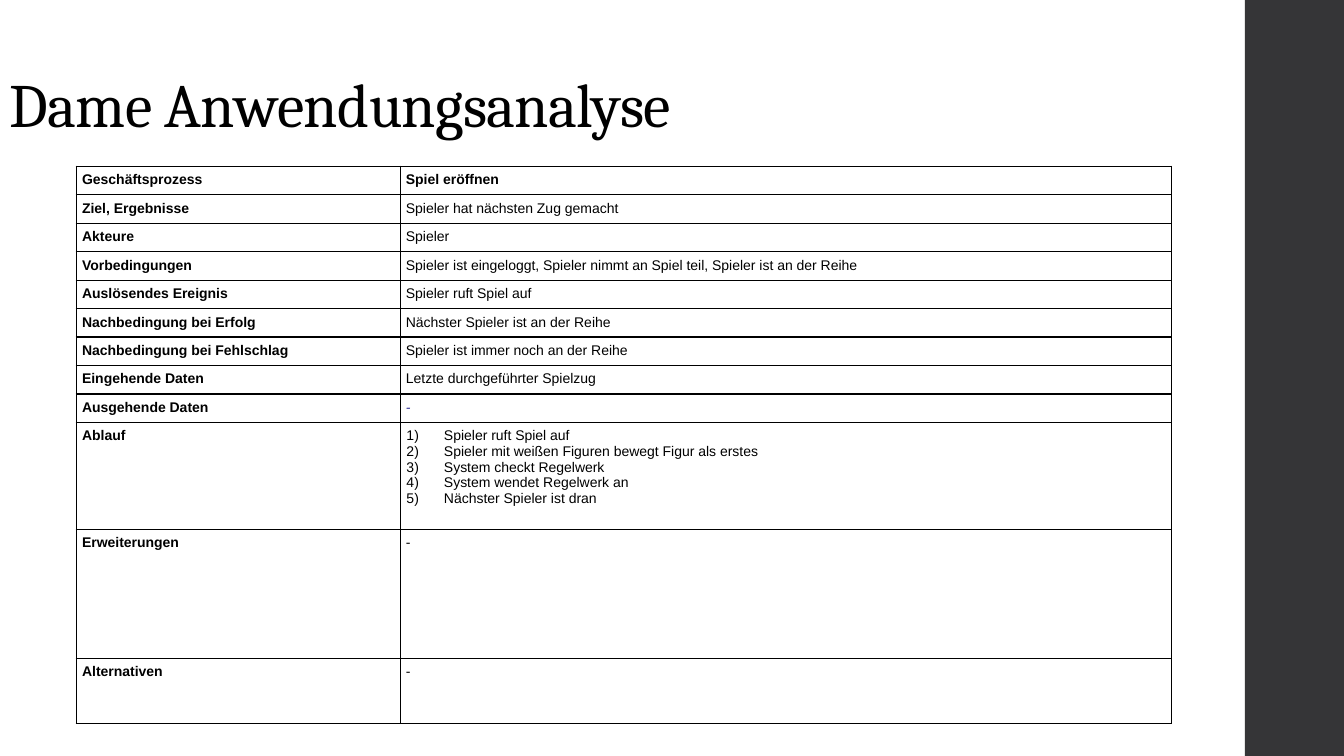
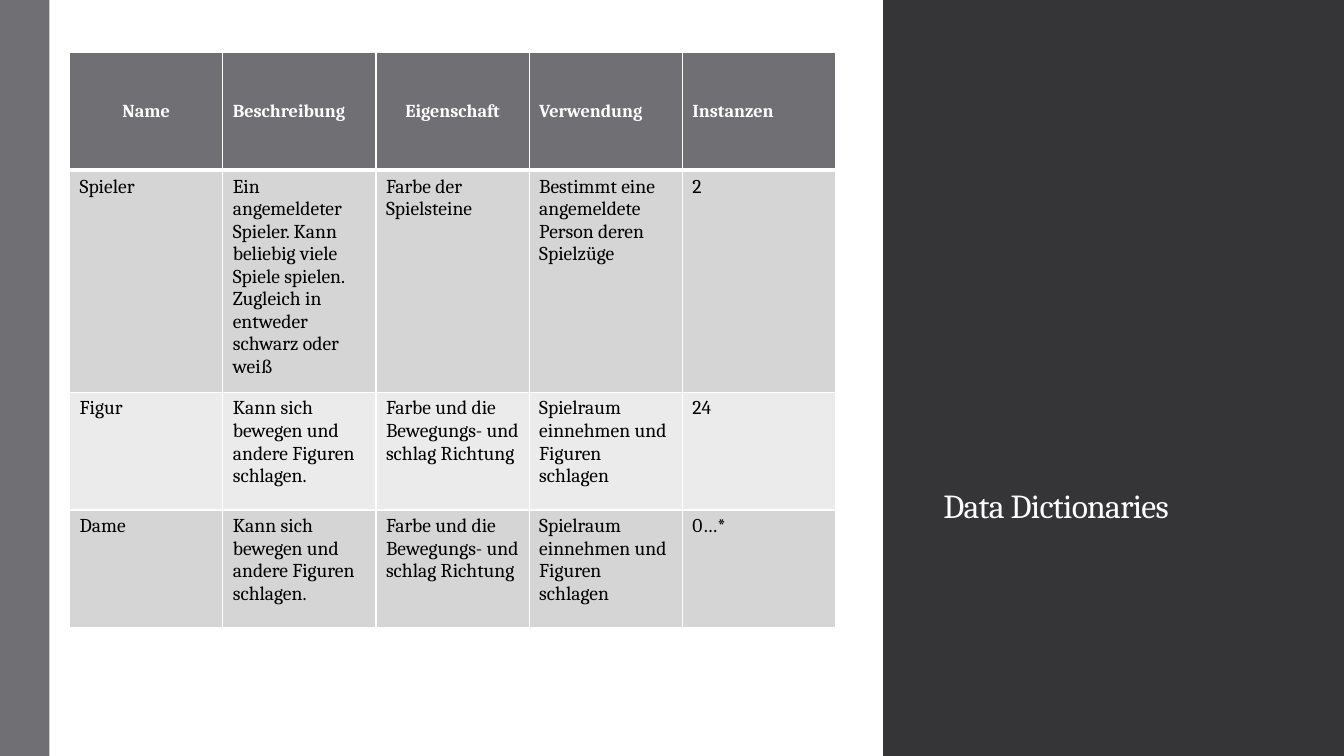
from dataclasses import dataclass

from lxml import etree
from pptx import Presentation
from pptx.dml.color import RGBColor
from pptx.enum.shapes import MSO_SHAPE
from pptx.enum.text import MSO_ANCHOR, PP_ALIGN
from pptx.oxml.ns import qn
from pptx.slide import Slide
from pptx.table import Table, _Cell
from pptx.text.text import _Paragraph
from pptx.util import Pt

RECTANGLE = MSO_SHAPE.RECTANGLE
TOP, MIDDLE, BOTTOM = MSO_ANCHOR.TOP, MSO_ANCHOR.MIDDLE, MSO_ANCHOR.BOTTOM
LEFT, CENTER = PP_ALIGN.LEFT, PP_ALIGN.CENTER

SLIDE_W, SLIDE_H = 960, 540
EDGE_LEFT = 889.2
BLACK, WHITE = "000000", "FFFFFF"
CHARCOAL, GRAY = "353537", "6F6F74"
ROW_DARK, ROW_LIGHT = "D5D5D6", "EBEBEB"
INDIGO = "333399"
SERIF, SANS = "Cambria", "Arial"


@dataclass(frozen=True)
class Band:
    """A full-height vertical band."""
    left: float
    width: float
    color: str


@dataclass(frozen=True)
class Title:
    """A slide title set at the bottom of its box."""
    text: str
    left: float
    top: float
    width: float
    height: float
    size: float
    color: str
    line_spacing: float
    bottom_inset: float = 3.6


@dataclass(frozen=True)
class TextStyle:
    """Character formatting of a run."""
    font: str
    size: float
    color: str = BLACK
    bold: bool = False
    italic: bool = False


@dataclass(frozen=True)
class CellStyle:
    """Insets, fill, border widths and alignment of a table cell."""
    inset_x: float
    inset_y: float
    border_color: str
    border: float
    top_border: float
    bottom_border: float
    fill: str | None = None
    anchor: MSO_ANCHOR = TOP


EDGE_BAND = Band(EDGE_LEFT, SLIDE_W - EDGE_LEFT, CHARCOAL)
DICTIONARY_BANDS = (
    Band(0, 36, GRAY),
    Band(36, EDGE_LEFT - 36, CHARCOAL),
    Band(35.3, 595.4, WHITE),
)

ANALYSIS_TITLE = Title("Dame Anwendungsanalyse", 0, 0, 763.2, 104.4,
                       44, BLACK, 0.9)
DICTIONARY_TITLE = Title("Data Dictionaries", 666.7, 88.6, 220.3, 318.2,
                         24, WHITE, 0.85, bottom_inset=31.6)

LABEL = TextStyle(SANS, 10, bold=True)
DETAIL = TextStyle(SANS, 10)
NO_OUTPUT = TextStyle(SANS, 10, INDIGO, italic=True)
HEADING = TextStyle(SERIF, 13, WHITE, bold=True)
ENTRY = TextStyle(SERIF, 14)

ANALYSIS_CELL = CellStyle(4.15, 4.15, BLACK, 0.96, 0.96, 0.96)
HEADING_CELL = CellStyle(7.2, 3.6, WHITE, 1, 1, 3, GRAY, MIDDLE)

STEPS = (
    "Spieler ruft Spiel auf",
    "Spieler mit weißen Figuren bewegt Figur als erstes",
    "System checkt Regelwerk",
    "System wendet Regelwerk an",
    "Nächster Spieler ist dran",
)
SHORT_ROW = 19.8
USE_CASE = (
    ("Geschäftsprozess", ("Spiel eröffnen",), LABEL, SHORT_ROW),
    ("Ziel, Ergebnisse", ("Spieler hat nächsten Zug gemacht",), DETAIL, SHORT_ROW),
    ("Akteure", ("Spieler",), DETAIL, SHORT_ROW),
    ("Vorbedingungen",
     ("Spieler ist eingeloggt, Spieler nimmt an Spiel teil, "
      "Spieler ist an der Reihe",), DETAIL, SHORT_ROW),
    ("Auslösendes Ereignis", ("Spieler ruft Spiel auf",), DETAIL, SHORT_ROW),
    ("Nachbedingung bei Erfolg", ("Nächster Spieler ist an der Reihe",),
     DETAIL, SHORT_ROW),
    ("Nachbedingung bei Fehlschlag", ("Spieler ist immer noch an der Reihe",),
     DETAIL, SHORT_ROW),
    ("Eingehende Daten", ("Letzte durchgeführter Spielzug",), DETAIL, SHORT_ROW),
    ("Ausgehende Daten", ("-",), NO_OUTPUT, SHORT_ROW),
    ("Ablauf", STEPS, DETAIL, 76.4),
    ("Erweiterungen", ("-",), DETAIL, 92.1),
    ("Alternativen", ("-",), DETAIL, 46.4),
)

HEADINGS = (("Name", CENTER), ("Beschreibung", LEFT), ("Eigenschaft", CENTER),
            ("Verwendung", LEFT), ("Instanzen", LEFT))
PIECE_TRAITS = (
    "Kann sich bewegen und andere Figuren schlagen.",
    "Farbe und die Bewegungs- und schlag Richtung",
    "Spielraum einnehmen und Figuren schlagen",
)
ENTRIES = (
    ("Spieler",
     "Ein angemeldeter Spieler. Kann beliebig viele Spiele spielen. "
     "Zugleich in entweder schwarz oder weiß",
     "Farbe der Spielsteine",
     "Bestimmt eine angemeldete Person deren Spielzüge",
     "2"),
    ("Figur", *PIECE_TRAITS, "24"),
    ("Dame", *PIECE_TRAITS, "0…*"),
)


def rgb(color: str) -> RGBColor:
    """Turn a hex string into a colour."""
    return RGBColor.from_string(color)


def add_text(paragraph: _Paragraph, text: str, style: TextStyle,
             tracking: float = 0) -> None:
    """Add one formatted run; tracking is in points."""
    run = paragraph.add_run()
    run.text = text
    run.font.name = style.font
    run.font.size = Pt(style.size)
    run.font.bold = style.bold
    run.font.italic = style.italic
    run.font.color.rgb = rgb(style.color)
    if tracking:
        run._r.get_or_add_rPr().set("spc", str(round(tracking * 100)))


def draw_band(slide: Slide, band: Band) -> None:
    """Draw a band over the full slide height."""
    stripe = slide.shapes.add_shape(RECTANGLE, Pt(band.left), 0,
                                    Pt(band.width), Pt(SLIDE_H))
    stripe.shadow.inherit = False
    stripe.fill.solid()
    stripe.fill.fore_color.rgb = rgb(band.color)
    stripe.line.fill.background()


def draw_title(slide: Slide, title: Title) -> None:
    """Draw a title in the shared serif style."""
    frame = slide.shapes.add_textbox(Pt(title.left), Pt(title.top),
                                     Pt(title.width), Pt(title.height)).text_frame
    frame.word_wrap = True
    frame.vertical_anchor = BOTTOM
    frame.margin_bottom = Pt(title.bottom_inset)
    paragraph = frame.paragraphs[0]
    paragraph.line_spacing = title.line_spacing
    add_text(paragraph, title.text,
             TextStyle(SERIF, title.size, title.color), tracking=-0.5)


def draw_table(slide: Slide, left: float, top: float,
               widths: list[float], heights: list[float]) -> Table:
    """Add an unbanded table with the given column and row sizes."""
    table = slide.shapes.add_table(len(heights), len(widths), Pt(left), Pt(top),
                                   Pt(sum(widths)), Pt(sum(heights))).table
    table.first_row = False
    table.horz_banding = False
    for column, width in zip(table.columns, widths):
        column.width = Pt(width)
    for row, height in zip(table.rows, heights):
        row.height = Pt(height)
    return table


def style_cell(cell: _Cell, style: CellStyle) -> None:
    """Apply borders, insets, anchor and fill to a cell."""
    properties = cell._tc.get_or_add_tcPr()
    borders = (("L", style.border), ("R", style.border),
               ("T", style.top_border), ("B", style.bottom_border))
    for side, width in borders:
        line = etree.SubElement(properties, qn(f"a:ln{side}"), w=str(Pt(width)))
        fill = etree.SubElement(line, qn("a:solidFill"))
        etree.SubElement(fill, qn("a:srgbClr"), val=style.border_color)
    cell.margin_left = cell.margin_right = Pt(style.inset_x)
    cell.margin_top = cell.margin_bottom = Pt(style.inset_y)
    cell.vertical_anchor = style.anchor
    if style.fill:
        cell.fill.solid()
        cell.fill.fore_color.rgb = rgb(style.fill)
    else:
        cell.fill.background()


def number_paragraph(paragraph: _Paragraph) -> None:
    """Number a paragraph as 1), 2), 3) with a hanging indent."""
    properties = paragraph._p.get_or_add_pPr()
    properties.set("marL", str(Pt(27.2)))
    properties.set("indent", str(-Pt(26.8)))
    etree.SubElement(properties, qn("a:buAutoNum"), type="arabicParenR")


def fill_cell(cell: _Cell, lines: tuple[str, ...], text_style: TextStyle,
              cell_style: CellStyle, align: PP_ALIGN = LEFT) -> None:
    """Style a cell and write its lines, numbered if there are several."""
    style_cell(cell, cell_style)
    frame = cell.text_frame
    for index, line in enumerate(lines):
        paragraph = frame.add_paragraph() if index else frame.paragraphs[0]
        paragraph.alignment = align
        if len(lines) > 1:
            number_paragraph(paragraph)
        add_text(paragraph, line, text_style)


def new_slide(deck: Presentation) -> Slide:
    """Add a blank slide with the shared edge band."""
    slide = deck.slides.add_slide(deck.slide_layouts[6])
    slide.background.fill.solid()
    slide.background.fill.fore_color.rgb = rgb(WHITE)
    draw_band(slide, EDGE_BAND)
    return slide


def build_analysis(deck: Presentation) -> None:
    """Build the use case slide."""
    slide = new_slide(deck)
    draw_title(slide, ANALYSIS_TITLE)
    table = draw_table(slide, 54.5, 118.8, [231.3, 551],
                       [height for *_, height in USE_CASE])
    for row, (label, lines, style, _) in enumerate(USE_CASE):
        fill_cell(table.cell(row, 0), (label,), LABEL, ANALYSIS_CELL)
        fill_cell(table.cell(row, 1), lines, style, ANALYSIS_CELL)


def build_dictionary(deck: Presentation) -> None:
    """Build the data dictionary slide."""
    slide = new_slide(deck)
    for band in DICTIONARY_BANDS:
        draw_band(slide, band)
    draw_title(slide, DICTIONARY_TITLE)
    table = draw_table(slide, 49.7, 37.6, [109.44] * len(HEADINGS),
                       [84.1, 154.8, 84.1, 84.1])
    for column, (heading, align) in enumerate(HEADINGS):
        fill_cell(table.cell(0, column), (heading,), HEADING, HEADING_CELL, align)
    for row, entry in enumerate(ENTRIES, start=1):
        style = CellStyle(7.2, 3.6, WHITE, 1, 3 if row == 1 else 1, 1,
                          ROW_DARK if row % 2 else ROW_LIGHT)
        for column, text in enumerate(entry):
            fill_cell(table.cell(row, column), (text,), ENTRY, style)


def main() -> None:
    """Build and save the presentation."""
    deck = Presentation()
    deck.slide_width, deck.slide_height = Pt(SLIDE_W), Pt(SLIDE_H)
    build_analysis(deck)
    build_dictionary(deck)
    deck.save("out.pptx")


main()
